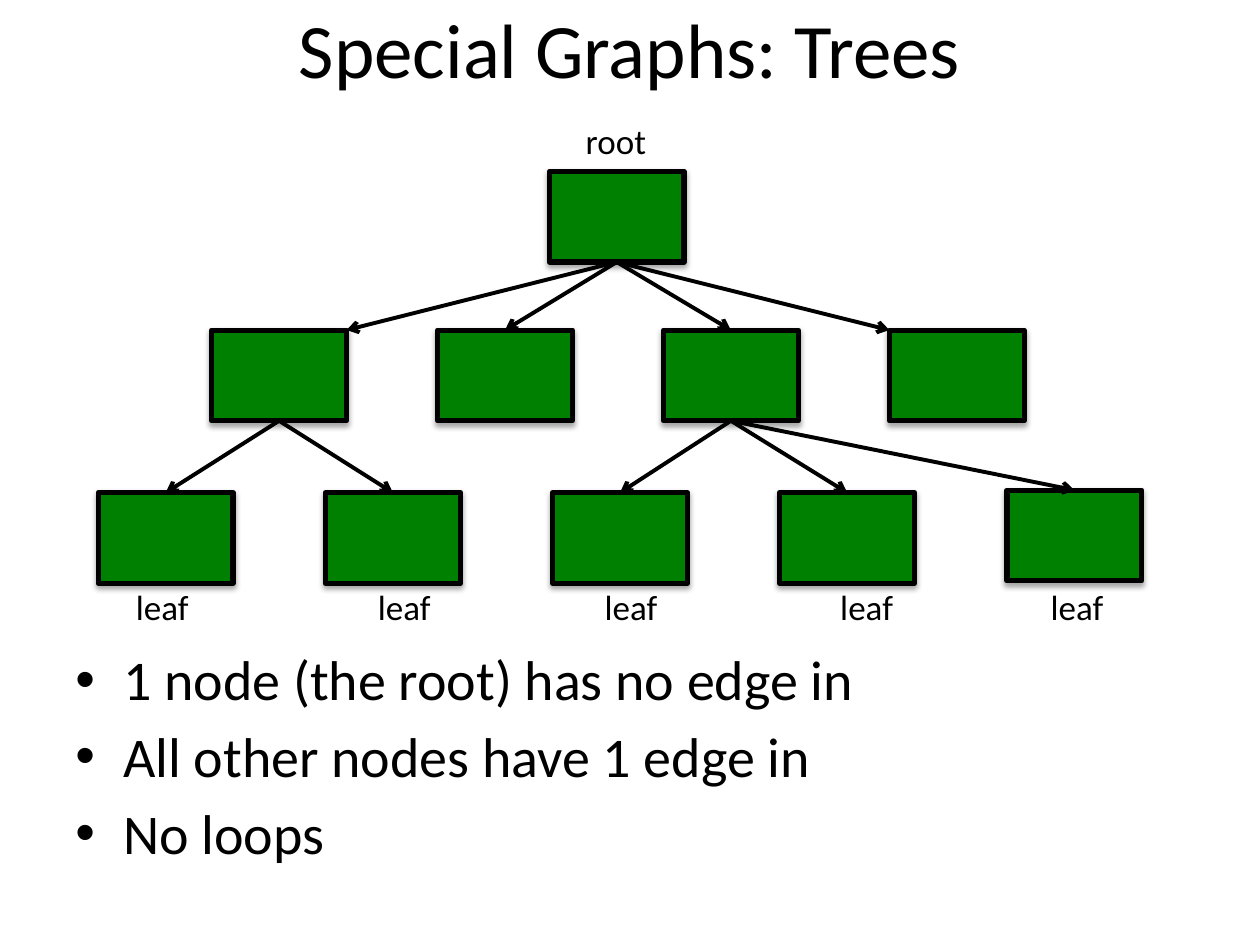
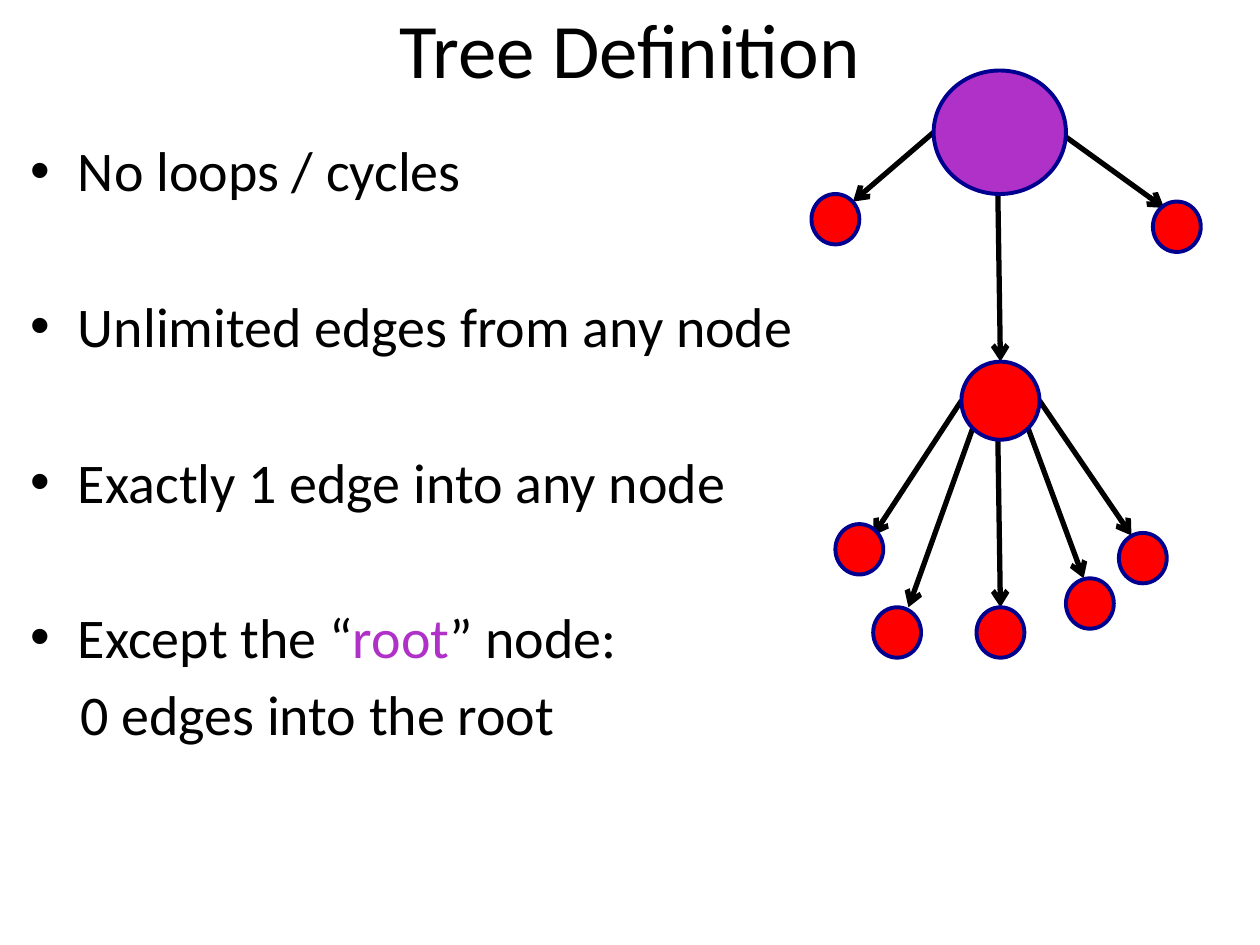
from lxml import etree
from pptx import Presentation
from pptx import util as u
from pptx.dml.color import RGBColor
from pptx.enum import shapes, text
from pptx.oxml import ns

BLACK = RGBColor(0x00, 0x00, 0x00)
GREEN = RGBColor(0x00, 0x80, 0x00)
RED = RGBColor(0xFF, 0x00, 0x00)
PURPLE = RGBColor(0xAF, 0x31, 0xC7)
NAVY = RGBColor(0x00, 0x00, 0x90)
FONT = "Calibri"
INDENT = u.Inches(0.38)
LINE_GAP, WIDE_GAP = 5.5, 50.5  # points before a paragraph


def add_text(slide, box, paragraphs, size, align=text.PP_ALIGN.LEFT,
             anchor=text.MSO_ANCHOR.TOP, wrap=True):
    """Each paragraph is (runs, bullet, left margin, space before); a run is (words, colour)."""
    frame = slide.shapes.add_textbox(*map(u.Inches, box)).text_frame
    frame.word_wrap = wrap
    frame.vertical_anchor = anchor
    for number, (runs, bullet, margin, space) in enumerate(paragraphs):
        paragraph = frame.add_paragraph() if number else frame.paragraphs[0]
        properties = paragraph._p.get_or_add_pPr()
        properties.set("marL", str(margin))
        if bullet:
            properties.set("indent", str(-margin))
            etree.SubElement(properties, ns.qn("a:buFont")).set("typeface", "Arial")
            etree.SubElement(properties, ns.qn("a:buChar")).set("char", "•")
        paragraph.alignment = align
        paragraph.space_before = u.Pt(space)
        for words, colour in runs:
            run = paragraph.add_run()
            run.text = words
            run.font.name = FONT
            run.font.size = u.Pt(size)
            run.font.color.rgb = colour


def add_arrow(slide, start, end, width):
    arrow = slide.shapes.add_connector(
        shapes.MSO_CONNECTOR.STRAIGHT, *map(u.Inches, start + end))
    arrow.line.color.rgb = BLACK
    arrow.line.width = u.Pt(width)
    line = arrow.line._get_or_add_ln()
    etree.SubElement(line, ns.qn("a:tailEnd")).set("type", "arrow")
    etree.SubElement(arrow._element.spPr, ns.qn("a:effectLst"))
    return arrow


presentation = Presentation()
presentation.slide_width = u.Inches(10)
presentation.slide_height = u.Inches(7.5)

# Both slides with their titles
slides = []
for title in ("Special Graphs: Trees", "Tree Definition"):
    slide = presentation.slides.add_slide(presentation.slide_layouts[6])
    add_text(slide, (0.5, -0.25, 9, 1.25), [([(title, BLACK)], False, 0, 0)], 44,
             text.PP_ALIGN.CENTER, text.MSO_ANCHOR.MIDDLE)
    slides.append(slide)
tree_slide, definition_slide = slides

# Slide 1: statements under the tree
statements = ("1 node (the root) has no edge in", "All other nodes have 1 edge in", "No loops")
add_text(tree_slide, (0.5, 5.07, 9, 2.2),
         [([(words, BLACK)], True, INDENT, LINE_GAP if number else 0)
          for number, words in enumerate(statements)], 32)

# Slide 1: three levels of nodes
NODE_WIDTH, NODE_HEIGHT = 1.07, 0.72
positions = {"root": (4.36, 1.36)}
for column in range(4):
    positions[f"child {column}"] = (1.68 + 1.793 * column, 2.62)
for column in range(5):
    positions[f"leaf {column}"] = (0.78 + 1.803 * column, 3.89 if column == 4 else 3.91)

nodes = {}
for name, (left, top) in positions.items():
    node = tree_slide.shapes.add_shape(
        shapes.MSO_SHAPE.RECTANGLE,
        *map(u.Inches, (left, top, NODE_WIDTH, NODE_HEIGHT)))
    node.fill.solid()
    node.fill.fore_color.rgb = GREEN
    node.line.color.rgb = BLACK
    node.line.width = u.Pt(3)
    node.shadow.inherit = False
    effects = node._element.spPr.find(ns.qn("a:effectLst"))
    shadow = etree.SubElement(effects, ns.qn("a:outerShdw"), blurRad="40000",
                              dist="23000", dir="5400000", rotWithShape="0")
    shade = etree.SubElement(shadow, ns.qn("a:srgbClr"), val=str(BLACK))
    etree.SubElement(shade, ns.qn("a:alpha"), val="35000")
    nodes[name] = node

# Slide 1: edges; the outer children are reached at their inner corner
tree_edges = {"root": ["child 0", "child 1", "child 2", "child 3"],
              "child 0": ["leaf 0", "leaf 1"],
              "child 2": ["leaf 2", "leaf 3", "leaf 4"]}
corner_offsets = {"child 0": NODE_WIDTH, "child 3": 0}
for parent, children in tree_edges.items():
    for child in children:
        left, top = positions[child]
        end = (left + corner_offsets.get(child, NODE_WIDTH / 2), top)
        arrow = add_arrow(tree_slide, positions[parent], end, 2.25)
        arrow.begin_connect(nodes[parent], 2)
        if child not in corner_offsets:
            arrow.end_connect(nodes[child], 0)

# Slide 1: node labels
labels = [("root", 4.55, 0.9)]
labels += [("leaf", left, 4.6) for left in (0.98, 2.9, 4.7, 6.57, 8.24)]
for words, left, top in labels:
    add_text(tree_slide, (left, top, 0.69 if words == "root" else 0.62, 0.44),
             [([(words, BLACK)], False, 0, 0)], 20, wrap=False)

# Slide 2: rules of a tree
add_text(definition_slide, (0.14, 1.03, 6.38, 6.18), [
    ([("No loops / cycles", BLACK)], True, INDENT, 0),
    ([("Unlimited edges from any node", BLACK)], True, INDENT, WIDE_GAP),
    ([("Exactly 1 edge into any node", BLACK)], True, INDENT, WIDE_GAP),
    ([("Except the “", BLACK), ("root", PURPLE), ("” node:", BLACK)], True, INDENT, WIDE_GAP),
    ([("0 edges into the root", BLACK)], False, u.Inches(0.4), LINE_GAP),
], 32)

# Slide 2: edges from the root, then from the inner node
for start, end in (
        ((7.41, 1.05), (6.77, 1.6)), ((7.92, 1.55), (7.94, 2.87)),
        ((8.45, 1.08), (9.24, 1.65)),
        ((7.63, 3.18), (6.93, 4.25)), ((7.72, 3.4), (7.21, 4.82)),
        ((7.92, 3.49), (7.94, 4.82)), ((8.16, 3.4), (8.6, 4.59)),
        ((8.25, 3.18), (8.98, 4.25))):
    add_arrow(definition_slide, start, end, 3)

# Slide 2: root, inner node and small nodes
circles = [((7.41, 0.56, 1.05, 0.98), PURPLE), ((7.63, 2.87, 0.62, 0.62), RED)]
circles += [((left, top, 0.38, 0.4), RED) for left, top in (
    (6.44, 1.54), (9.15, 1.6), (6.63, 4.16), (6.93, 4.82),
    (7.75, 4.82), (8.46, 4.59), (8.88, 4.23))]
for box, colour in circles:
    circle = definition_slide.shapes.add_shape(shapes.MSO_SHAPE.OVAL, *map(u.Inches, box))
    circle.shadow.inherit = False
    circle.fill.solid()
    circle.fill.fore_color.rgb = colour
    circle.line.color.rgb = NAVY
    circle.line.width = u.Pt(2.25)

presentation.save("out.pptx")
